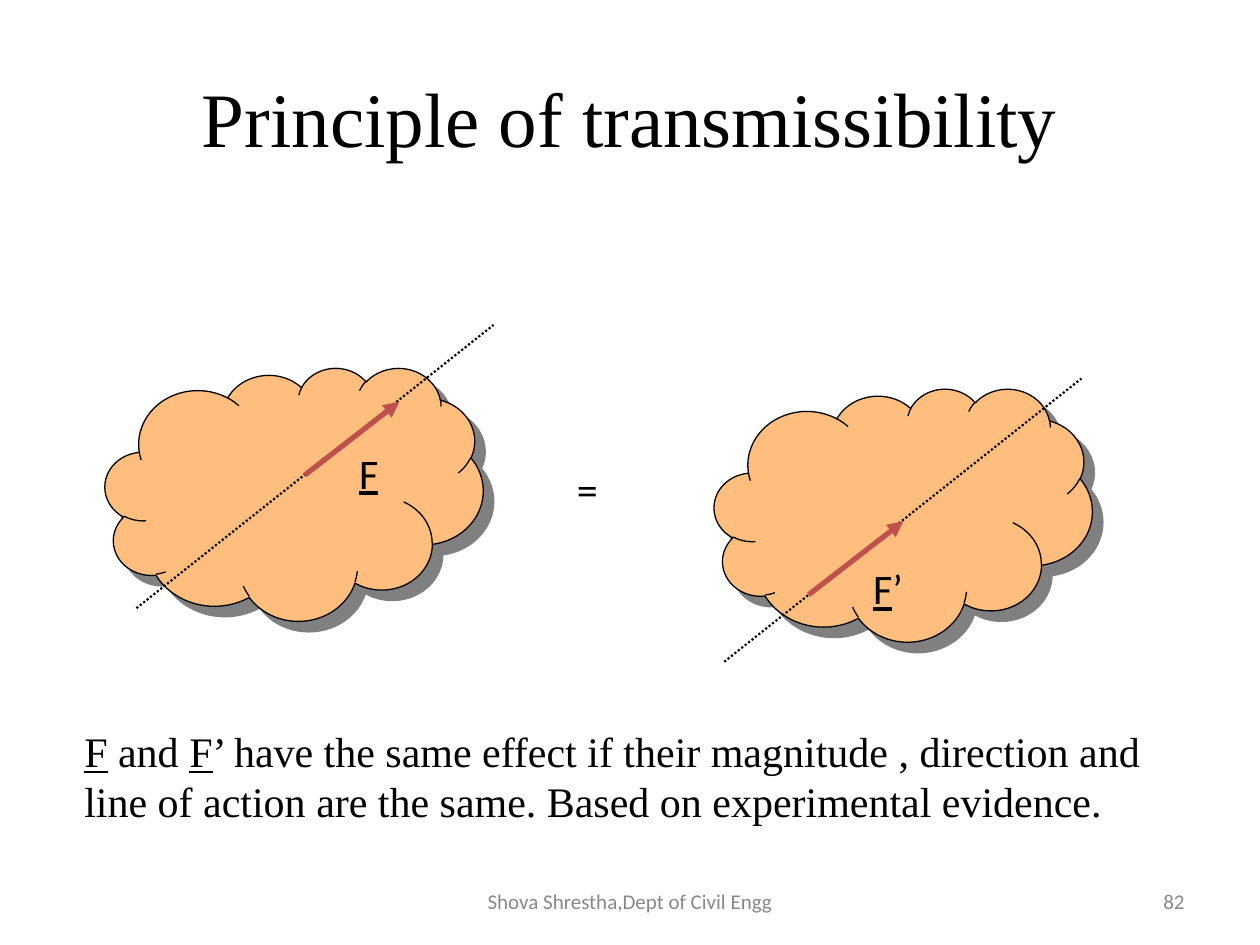
from lxml import etree
from pptx import Presentation
from pptx.dml.color import RGBColor
from pptx.enum.dml import MSO_LINE
from pptx.enum.shapes import MSO_CONNECTOR, MSO_SHAPE
from pptx.enum.text import MSO_ANCHOR, PP_ALIGN
from pptx.oxml import parse_xml
from pptx.oxml.ns import nsdecls, qn
from pptx.util import Cm, Pt

LEFT, CENTER, RIGHT = PP_ALIGN.LEFT, PP_ALIGN.CENTER, PP_ALIGN.RIGHT
MIDDLE, TOP = MSO_ANCHOR.MIDDLE, MSO_ANCHOR.TOP
STRAIGHT, CLOUD, DOTTED = MSO_CONNECTOR.STRAIGHT, MSO_SHAPE.CLOUD, MSO_LINE.ROUND_DOT

BLACK = RGBColor(0x00, 0x00, 0x00)
GRAY = RGBColor(0x88, 0x88, 0x88)
ORANGE = RGBColor(0xFF, 0xBE, 0x7D)
RED = RGBColor(0xC0, 0x50, 0x4D)
SERIF, SANS = "Times New Roman", "Calibri"

TITLE = "Principle of transmissibility"
STATEMENT = [
    ("F", True),
    (" and ", False),
    ("F", True),
    ("’ have the same effect if their magnitude , direction and "
     "line of action are the same. Based on experimental evidence.", False),
]
FIGURES = [
    {"cloud": (2.12, 7.41), "action": (2.75, 12.26), "force": (6.14, 9.58),
     "label": (6.99, 8.89, 0.99, 1.27), "name": [("F", True)]},
    {"cloud": (14.4, 7.83), "action": (14.6, 13.34), "force": (16.3, 11.99),
     "label": (17.35, 11.22, 1.27, 1.27), "name": [("F", True), ("’", False)]},
]
CLOUD_SIZE = (7.62, 5.1)
ACTION_SPAN = (7.2, -5.71)
FORCE_SPAN = (1.91, -1.48)

SHADOW = (
    f'<a:effectLst {nsdecls("a")}><a:outerShdw blurRad="0" dist="107763" '
    'dir="2700000" algn="ctr" rotWithShape="0"><a:srgbClr val="808080"/>'
    '</a:outerShdw></a:effectLst>'
)


def add_text(page, place, spans, font=SANS, size=24, color=BLACK,
             align=LEFT, anchor=TOP):
    box = page.shapes.add_textbox(*map(Cm, place))
    frame = box.text_frame
    frame.word_wrap = True
    frame.vertical_anchor = anchor
    para = frame.paragraphs[0]
    para.alignment = align
    para.font.name = font
    para.font.size = Pt(size)
    para.font.color.rgb = color
    for text, underlined in spans:
        span = para.add_run()
        span.text = text
        if underlined:
            span.font.underline = True


def add_cloud(page, corner):
    cloud = page.shapes.add_shape(CLOUD, *map(Cm, corner + CLOUD_SIZE))
    cloud.fill.solid()
    cloud.fill.fore_color.rgb = ORANGE
    cloud.line.color.rgb = BLACK
    cloud.line.width = Pt(0.75)
    cloud._element.spPr.append(parse_xml(SHADOW))


def add_line(page, start, span, color, width, dash=None, arrow=False):
    end = (start[0] + span[0], start[1] + span[1])
    connector = page.shapes.add_connector(STRAIGHT, *map(Cm, start + end))
    connector.line.color.rgb = color
    connector.line.width = Pt(width)
    if dash:
        connector.line.dash_style = dash
    properties = connector._element.spPr
    if arrow:
        outline = properties.find(qn("a:ln"))
        etree.SubElement(outline, qn("a:tailEnd"), type="triangle")
    etree.SubElement(properties, qn("a:effectLst"))


def main():
    deck = Presentation()
    deck.slide_width, deck.slide_height = Cm(25.4), Cm(19.05)
    page = deck.slides.add_slide(deck.slide_layouts[5])

    title = page.shapes.title
    title.left, title.top, title.width, title.height = map(Cm, (1.27, 0.76, 22.86, 3.18))
    title.text_frame.text = TITLE
    title.text_frame.vertical_anchor = MIDDLE
    heading = title.text_frame.paragraphs[0]
    heading.alignment = CENTER
    heading.font.name = SERIF
    heading.font.size = Pt(44)
    heading.font.color.rgb = BLACK

    for figure in FIGURES:
        add_cloud(page, figure["cloud"])
        add_line(page, figure["action"], ACTION_SPAN, BLACK, 1.25, dash=DOTTED)
        add_line(page, figure["force"], FORCE_SPAN, RED, 3, arrow=True)
        add_text(page, figure["label"], figure["name"])

    add_text(page, (11.38, 9.22, 0.99, 1.27), [("=", False)])
    add_text(page, (1.45, 14.5, 22.91, 2.31), STATEMENT, font=SERIF)
    add_text(page, (18.2, 17.66, 5.93, 1.01), [("82", False)],
             size=12, color=GRAY, align=RIGHT, anchor=MIDDLE)
    add_text(page, (8.68, 17.66, 8.04, 1.01),
             [("Shova Shrestha,Dept of Civil Engg", False)],
             size=12, color=GRAY, align=CENTER, anchor=MIDDLE)

    deck.save("out.pptx")


if __name__ == "__main__":
    main()
